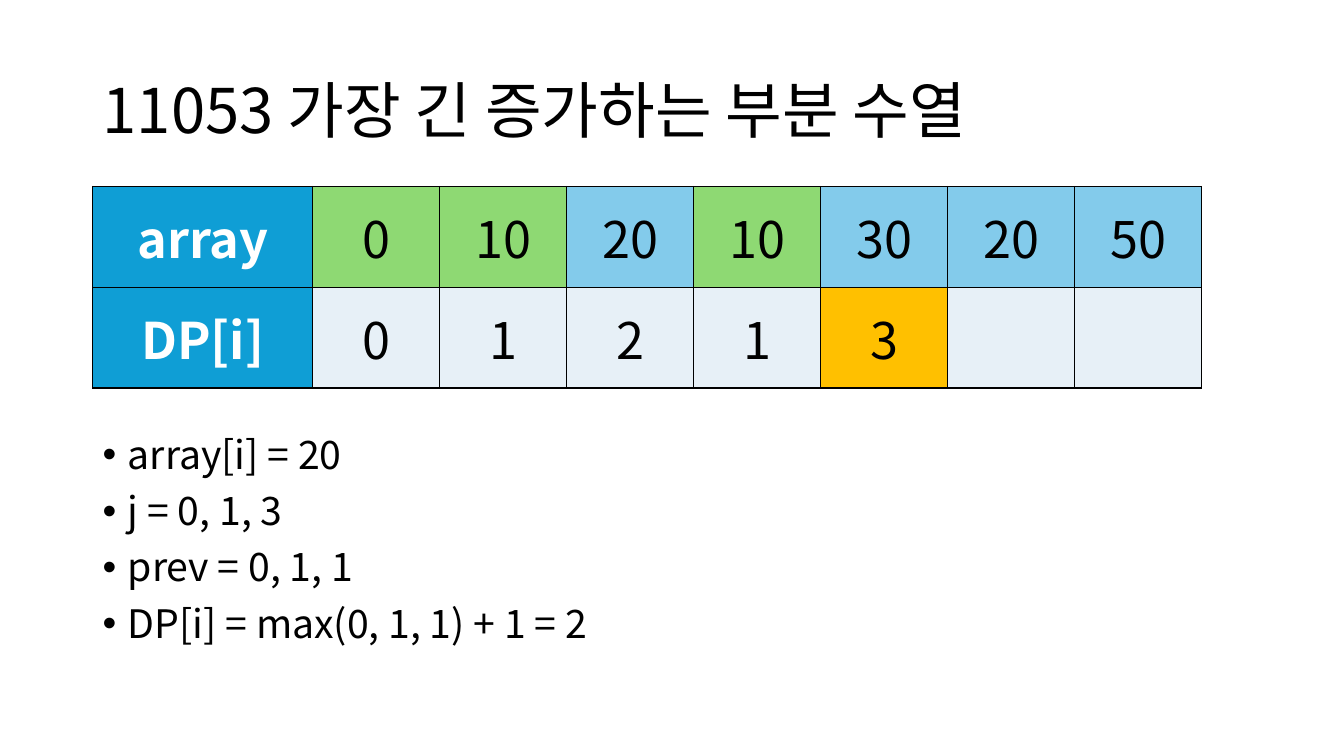
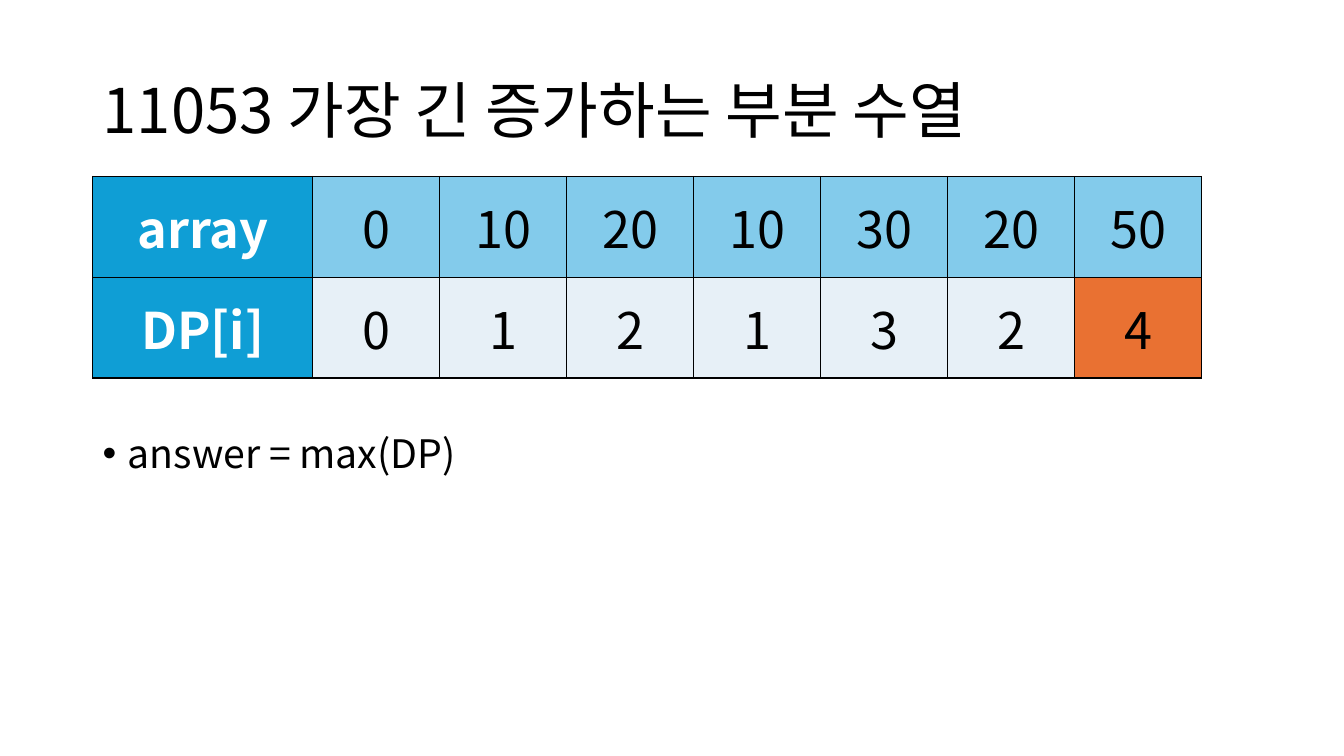
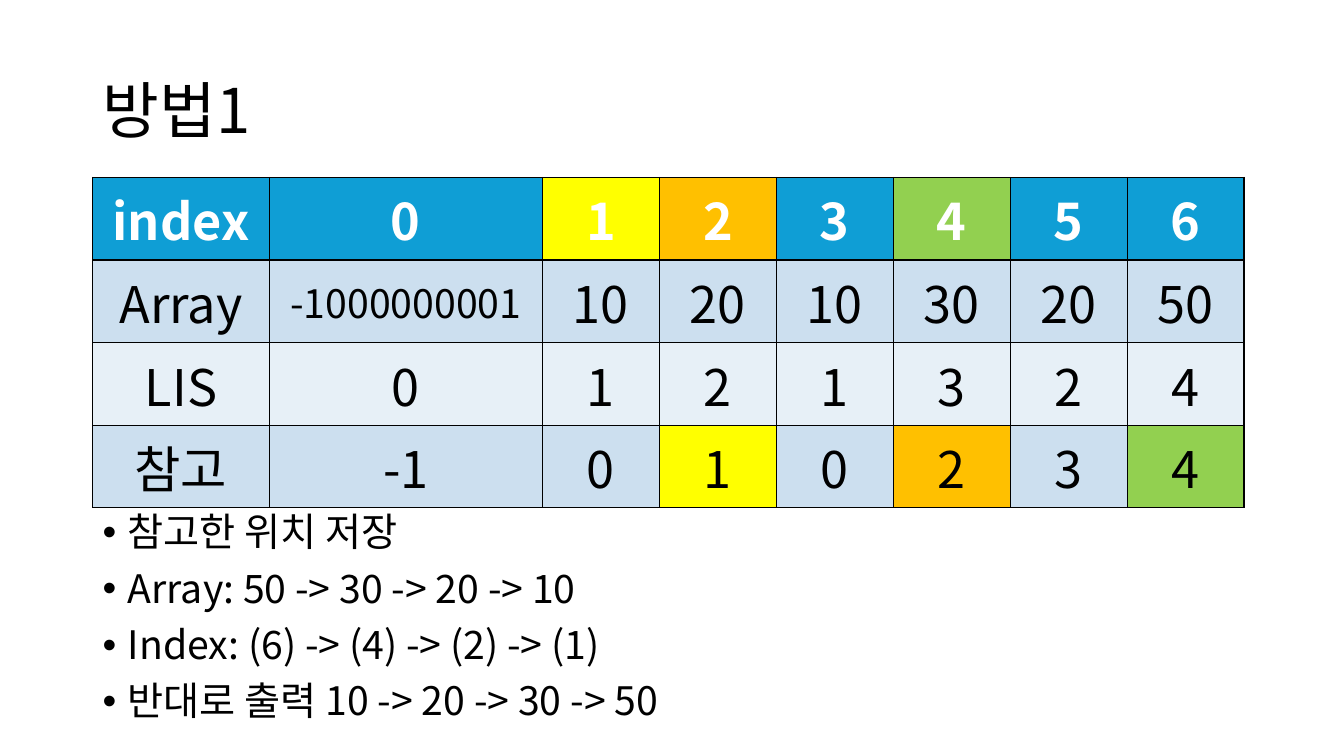
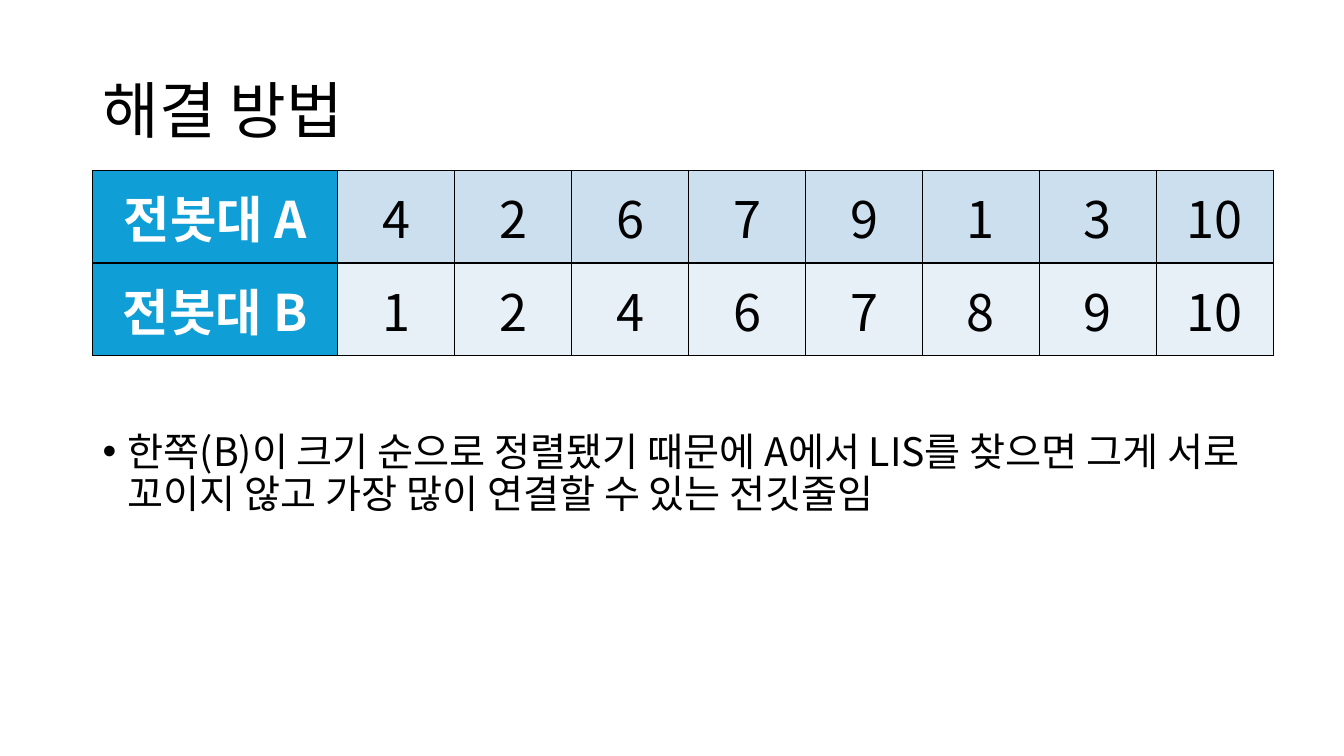
from lxml.etree import SubElement
from pptx import Presentation
from pptx.dml.color import RGBColor
from pptx.enum.text import MSO_ANCHOR, PP_ALIGN
from pptx.oxml.ns import qn
from pptx.util import Inches, Pt

FONT = "Noto Sans CJK KR"
BLACK, WHITE = "000000", "FFFFFF"
HEAD, SKY, BLUE, PALE = "0F9ED5", "83CBEB", "CCDFEF", "E7F0F7"
LIME, GREEN, YELLOW, GOLD, ORANGE = "8ED973", "92D050", "FFFF00", "FFC000", "E97132"
LEFT, WIDTH = 0.92, 11.5


def rgb(value):
    return RGBColor.from_string(value)


def style_run(r, size, color=BLACK, bold=False):
    r.font.name = FONT
    r.font.size = Pt(size)
    r.font.bold = bold
    r.font.color.rgb = rgb(color)
    SubElement(r.font._element, qn("a:ea"), typeface=FONT)


def add_bullet(p):
    pPr = p._p.get_or_add_pPr()
    pPr.set("marL", str(Inches(0.25)))
    pPr.set("indent", str(Inches(-0.25)))
    SubElement(pPr, qn("a:buFont"), typeface="Arial")
    SubElement(pPr, qn("a:buChar"), char="•")


def add_borders(cell):
    tcPr = cell._tc.get_or_add_tcPr()
    for side in ("lnL", "lnR", "lnT", "lnB"):
        ln = SubElement(tcPr, qn(f"a:{side}"), w=str(Pt(1)))
        fill = SubElement(ln, qn("a:solidFill"))
        SubElement(fill, qn("a:srgbClr"), val=BLACK)


class Deck:
    def __init__(self):
        self.prs = Presentation()
        self.prs.slide_width = Inches(13.33)
        self.prs.slide_height = Inches(7.5)
        self.s = None

    def slide(self, title):
        self.s = self.prs.slides.add_slide(self.prs.slide_layouts[6])
        tf = self.text(0.4, 1.45, [title], 44)
        tf.vertical_anchor = MSO_ANCHOR.MIDDLE

    def text(self, top, height, lines, size):
        box = self.s.shapes.add_textbox(
            Inches(LEFT), Inches(top), Inches(WIDTH), Inches(height))
        tf = box.text_frame
        tf.word_wrap = True
        tf.text = "\n".join(lines)
        for p in tf.paragraphs:
            p.line_spacing = 0.9
            for r in p.runs:
                style_run(r, size)
        return tf

    def bullets(self, top, height, lines):
        for p in self.text(top, height, lines, 28).paragraphs:
            p.space_before = Pt(10)
            add_bullet(p)

    def table(self, top, row_height, widths, rows, fills, marks=None):
        """Fill each row with its colour; marks maps (row, column) to another.

        Cells in a HEAD row, and first cells of rows led by a HEAD mark,
        are written in bold white.
        """
        marks = marks or {}
        shape = self.s.shapes.add_table(
            len(rows), len(widths), Inches(LEFT), Inches(top),
            Inches(sum(widths)), Inches(row_height * len(rows)))
        table = shape.table
        for column, width in zip(table.columns, widths):
            column.width = Inches(width)
        for i, values in enumerate(rows):
            for j, value in enumerate(values):
                color = marks.get((i, j), fills[i])
                self.cell(table.cell(i, j), value, color, HEAD in (fills[i], color))

    def cell(self, cell, value, color, is_head):
        add_borders(cell)
        cell.fill.solid()
        cell.fill.fore_color.rgb = rgb(color)
        cell.vertical_anchor = MSO_ANCHOR.MIDDLE
        cell.text = value
        p = cell.text_frame.paragraphs[0]
        p.alignment = PP_ALIGN.CENTER
        size = 28 if len(value) > 10 else 36
        for r in p.runs:
            style_run(r, size, WHITE if is_head else BLACK, is_head)


def main():
    deck = Deck()
    lis_title = "11053 가장 긴 증가하는 부분 수열"
    lis_widths = [2.18] + [1.26] * 7
    array = ["array", "0", "10", "20", "10", "30", "20", "50"]
    labels = {(0, 0): HEAD, (1, 0): HEAD}

    deck.slide(lis_title)
    deck.bullets(4.27, 2.49, [
        "array[i] = 20", "j = 0, 1, 3", "prev = 0, 1, 1",
        "DP[i] = max(0, 1, 1) + 1 = 2"])
    smaller = {(0, j): LIME for j in (1, 2, 4)}
    deck.table(1.85, 1, lis_widths,
               [array, ["DP[i]", "0", "1", "2", "1", "3", "", ""]],
               [SKY, PALE], labels | smaller | {(1, 5): GOLD})

    deck.slide(lis_title)
    deck.bullets(4.26, 2.49, ["answer = max(DP)"])
    deck.table(1.75, 1, lis_widths,
               [array, ["DP[i]", "0", "1", "2", "1", "3", "2", "4"]],
               [SKY, PALE], labels | {(1, 7): ORANGE})

    deck.slide("방법1")
    deck.bullets(5.04, 2.26, [
        "참고한 위치 저장", "Array: 50 -> 30 -> 20 -> 10",
        "Index: (6) -> (4) -> (2) -> (1)", "반대로 출력 10 -> 20 -> 30 -> 50"])
    deck.table(1.76, 0.82, [1.75, 2.71] + [1.16] * 6,
               [["index", "0", "1", "2", "3", "4", "5", "6"],
                ["Array", "-1000000001", "10", "20", "10", "30", "20", "50"],
                ["LIS", "0", "1", "2", "1", "3", "2", "4"],
                ["참고", "-1", "0", "1", "0", "2", "3", "4"]],
               [HEAD, BLUE, PALE, BLUE],
               {(0, 2): YELLOW, (3, 3): YELLOW, (0, 3): GOLD,
                (3, 5): GOLD, (0, 5): GREEN, (3, 7): GREEN})

    deck.slide("해결 방법")
    deck.bullets(4.24, 2.86, [
        "한쪽(B)이 크기 순으로 정렬됐기 때문에 A에서 LIS를 찾으면 그게 "
        "서로 꼬이지 않고 가장 많이 연결할 수 있는 전깃줄임"])
    deck.table(1.69, 0.92, [2.43] + [1.16] * 8,
               [["전봇대 A", "4", "2", "6", "7", "9", "1", "3", "10"],
                ["전봇대 B", "1", "2", "4", "6", "7", "8", "9", "10"]],
               [BLUE, PALE], labels)

    deck.prs.save("out.pptx")


if __name__ == "__main__":
    main()
